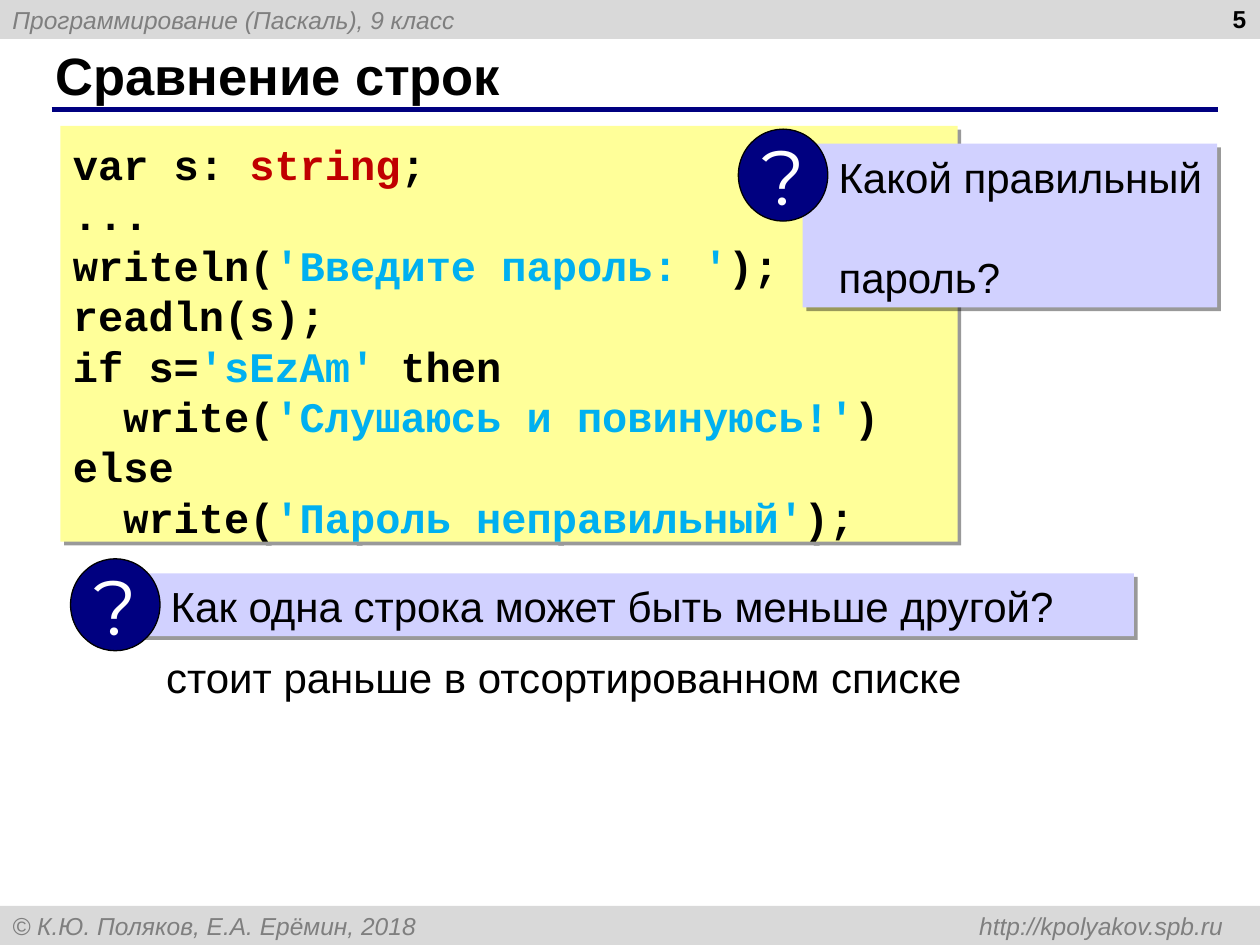
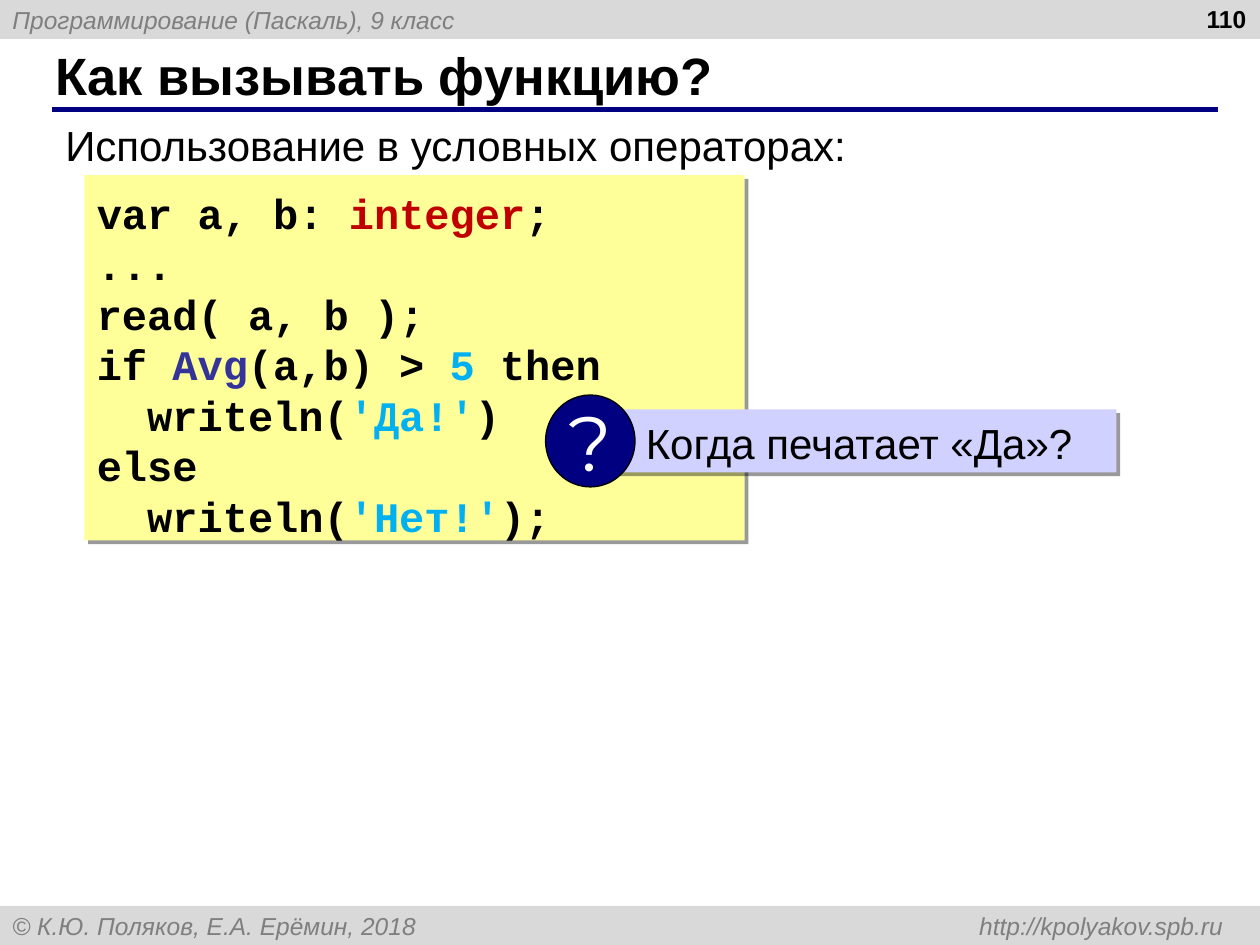
from lxml.etree import SubElement
from pptx import Presentation
from pptx.dml.color import RGBColor
from pptx.enum.shapes import MSO_CONNECTOR, MSO_SHAPE
from pptx.enum.text import MSO_ANCHOR, PP_ALIGN
from pptx.oxml.ns import qn
from pptx.util import Inches, Pt

BLACK = RGBColor(0x00, 0x00, 0x00)
WHITE = RGBColor(0xFF, 0xFF, 0xFF)
NAVY = RGBColor(0x00, 0x00, 0x80)
BAND_GRAY = RGBColor(0xD9, 0xD9, 0xD9)
BAND_TEXT = RGBColor(0x7F, 0x7F, 0x7F)
CODE_YELLOW = RGBColor(0xFF, 0xFF, 0x99)
CALLOUT_LILAC = RGBColor(0xD1, 0xD1, 0xFF)
TYPE_RED = RGBColor(0xC0, 0x00, 0x00)
LITERAL_BLUE = RGBColor(0x00, 0xB0, 0xF0)
FUNCTION_INDIGO = RGBColor(0x33, 0x33, 0x99)

TOKEN_COLORS = {"string": TYPE_RED, "integer": TYPE_RED, "Avg": FUNCTION_INDIGO}

BODY_FONT = "Arial"
CODE_FONT = "Courier New"
MARK_FONT = "Montserrat"
BODY_SIZE = 24
LINE_PITCH = Pt(28.8)

COLUMNS, ROWS = 100, 75
BAND_ROWS = 3.1

COURSE = "Программирование (Паскаль), 9 класс"
FOOTER = "© К.Ю. Поляков, Е.А. Ерёмин, 2018\thttp://kpolyakov.spb.ru"


class Deck:
    def __init__(self):
        self.presentation = Presentation()
        self.presentation.slide_width = Inches(10)
        self.presentation.slide_height = Inches(7.5)
        self.slide = None

    def x(self, columns):
        return round(self.presentation.slide_width * columns / COLUMNS)

    def y(self, rows):
        return round(self.presentation.slide_height * rows / ROWS)

    def box(self, left, top, width, height):
        return self.x(left), self.y(top), self.x(width), self.y(height)

    def new_slide(self, title, number):
        self.slide = self.presentation.slides.add_slide(self.presentation.slide_layouts[6])
        self.band(0, COURSE)
        footer = self.band(ROWS - BAND_ROWS, FOOTER)
        self.add_right_tab(footer.text_frame.paragraphs[0], 96.1)
        self.rule(4.1, 96.7, 8.7)
        heading = self.text(title, 3.4, 3.3, 91.6, 5.2, size=30, bold=True)
        heading.text_frame.vertical_anchor = MSO_ANCHOR.MIDDLE
        page = self.text(number, 76.6, -0.2, 23.3, 5.2, size=14, bold=True)
        page.text_frame.paragraphs[0].alignment = PP_ALIGN.RIGHT

    def style_runs(self, paragraph, size, color=BLACK, name=BODY_FONT, bold=False, italic=False):
        for run in paragraph.runs:
            font = run.font
            font.name = name
            font.size = Pt(size)
            font.bold = bold
            font.italic = italic
            font.color.rgb = color

    def add_right_tab(self, paragraph, column):
        tabs = SubElement(paragraph._p.get_or_add_pPr(), qn("a:tabLst"))
        SubElement(tabs, qn("a:tab"), pos=str(self.x(column)), algn="r")

    def add_shadow(self, shape):
        effects = shape._element.spPr.find(qn("a:effectLst"))
        shadow = SubElement(effects, qn("a:outerShdw"), dist=str(Pt(3)),
                            dir=str(45 * 60000), algn="ctr", rotWithShape="0")
        color = SubElement(shadow, qn("a:srgbClr"), val=str(BLACK))
        SubElement(color, qn("a:alpha"), val="40000")

    def filled_shape(self, shapes, kind, fill, place, shadow=False):
        shape = shapes.add_shape(kind, *self.box(*place))
        shape.shadow.inherit = False
        shape.fill.solid()
        shape.fill.fore_color.rgb = fill
        shape.line.fill.background()
        if shadow:
            self.add_shadow(shape)
        frame = shape.text_frame
        frame.word_wrap = True
        frame.vertical_anchor = MSO_ANCHOR.TOP
        return shape

    def band(self, top, text):
        band = self.filled_shape(self.slide.shapes, MSO_SHAPE.RECTANGLE, BAND_GRAY,
                                 (0, top, COLUMNS, BAND_ROWS))
        band.text_frame.text = text
        band.text_frame.vertical_anchor = MSO_ANCHOR.MIDDLE
        paragraph = band.text_frame.paragraphs[0]
        paragraph.alignment = PP_ALIGN.LEFT
        self.style_runs(paragraph, 14, BAND_TEXT, italic=True)
        return band

    def rule(self, start, end, row):
        rule = self.slide.shapes.add_connector(
            MSO_CONNECTOR.STRAIGHT, self.x(start), self.y(row), self.x(end), self.y(row))
        rule.line.color.rgb = NAVY
        rule.line.width = Pt(3)
        SubElement(rule._element.spPr, qn("a:effectLst"))

    def text(self, text, left, top, width, height, size=BODY_SIZE, bold=False):
        shape = self.slide.shapes.add_textbox(*self.box(left, top, width, height))
        frame = shape.text_frame
        frame.text = text
        frame.word_wrap = True
        if size == BODY_SIZE:
            frame.margin_top = self.y(0.6)
            frame.paragraphs[0].line_spacing = LINE_PITCH
        self.style_runs(frame.paragraphs[0], size, bold=bold)
        return shape

    def code(self, listing, left, top, width, height):
        panel = self.filled_shape(self.slide.shapes, MSO_SHAPE.RECTANGLE, CODE_YELLOW,
                                  (left, top, width, height), shadow=True)
        frame = panel.text_frame
        frame.margin_top = self.y(1)
        frame.text = "\n".join(listing)
        for paragraph, line in zip(frame.paragraphs, listing):
            paragraph.text = ""
            paragraph.alignment = PP_ALIGN.LEFT
            paragraph.line_spacing = LINE_PITCH
            for token in filter(None, line.split("|")):
                paragraph.add_run().text = token
            self.style_runs(paragraph, BODY_SIZE, name=CODE_FONT, bold=True)
            for run in paragraph.runs:
                if run.text.startswith("'") or run.text.isdigit():
                    run.font.color.rgb = LITERAL_BLUE
                else:
                    run.font.color.rgb = TOKEN_COLORS.get(run.text, BLACK)

    def question(self, lines, left, top, width, height):
        shapes = self.slide.shapes.add_group_shape().shapes
        panel = self.filled_shape(shapes, MSO_SHAPE.RECTANGLE, CALLOUT_LILAC,
                                  (left, top, width, height), shadow=True)
        frame = panel.text_frame
        frame.margin_left = self.x(2.85)
        frame.margin_right = 0
        frame.margin_top = self.y(0.6)
        frame.text = "\n".join(lines)
        for index, paragraph in enumerate(frame.paragraphs):
            paragraph.alignment = PP_ALIGN.LEFT
            paragraph.line_spacing = LINE_PITCH
            if index:
                paragraph.space_before = LINE_PITCH
            self.style_runs(paragraph, BODY_SIZE)
        mark = self.filled_shape(shapes, MSO_SHAPE.OVAL, NAVY,
                                 (left - 5.1, top - 1.15, 7.1, 7.3))
        mark.line.color.rgb = BLACK
        mark.line.width = Pt(0.75)
        mark.text_frame.text = "?"
        mark.text_frame.word_wrap = False
        mark.text_frame.vertical_anchor = MSO_ANCHOR.MIDDLE
        paragraph = mark.text_frame.paragraphs[0]
        paragraph.alignment = PP_ALIGN.CENTER
        self.style_runs(paragraph, 44, WHITE, MARK_FONT)


def string_comparison(deck):
    deck.new_slide("Сравнение строк", "5")
    deck.code([
        "var s: |string|;",
        "...",
        "writeln(|'Введите пароль: '|);",
        "readln(s);",
        "if s=|'sEzAm'| then",
        "  write(|'Слушаюсь и повинуюсь!'|)",
        "else",
        "  write(|'Пароль неправильный'|);",
    ], 4.8, 10, 71.2, 33)
    deck.question(["Какой правильный", "пароль?"], 63.7, 11.4, 32.9, 13)
    deck.question(["Как одна строка может быть меньше другой?"], 10.7, 45.5, 79.3, 5)
    deck.text("стоит раньше в отсортированном списке", 12.2, 51.1, 70, 5)


def function_call(deck):
    deck.new_slide("Как вызывать функцию?", "110")
    deck.text("Использование в условных операторах:", 4.2, 8.9, 70, 5)
    deck.code([
        "var a, b: |integer|;",
        "...",
        "read( a, b );",
        "if |Avg|(a,b) > |5| then",
        "  writeln(|'Да!'|)",
        "else",
        "  writeln(|'Нет!'|);",
    ], 6.7, 13.9, 52.4, 29)
    deck.question(["Когда печатает «Да»?"], 48.4, 32.5, 40.2, 5)


def main():
    deck = Deck()
    string_comparison(deck)
    function_call(deck)
    deck.presentation.save("out.pptx")


if __name__ == "__main__":
    main()
